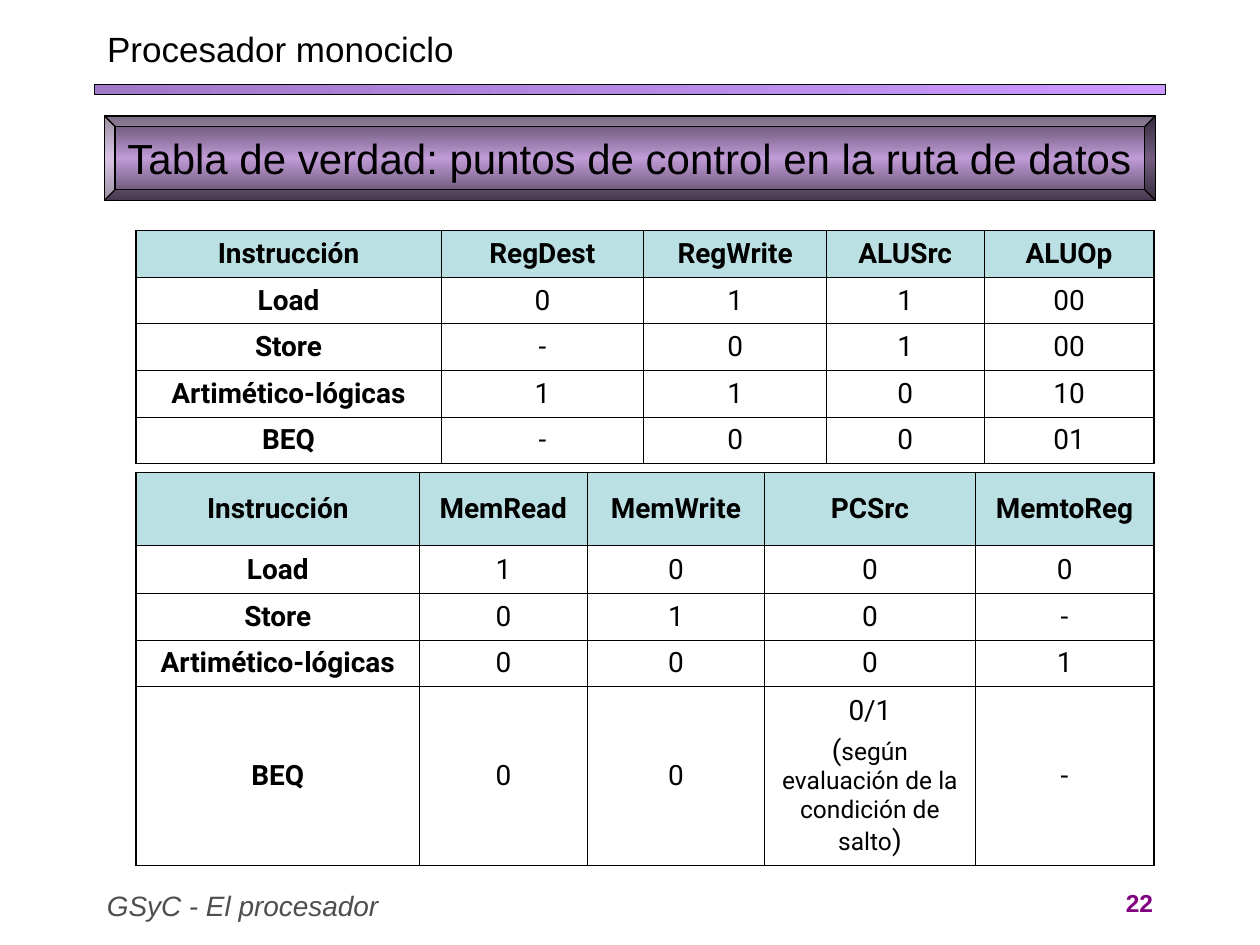
import pptx
import pptx.dml.color
import pptx.enum.shapes
import pptx.enum.text
import pptx.oxml
import pptx.oxml.ns
import pptx.util

Inches = pptx.util.Inches
Pt = pptx.util.Pt
Align = pptx.enum.text.PP_ALIGN
Anchor = pptx.enum.text.MSO_ANCHOR
Shape = pptx.enum.shapes.MSO_SHAPE
qn = pptx.oxml.ns.qn

HUES = {
    "ink": "000000",
    "head": "BBE0E3",
    "foot": "4E4E4E",
    "page": "800080",
    "lilac": "CC99FF",
    "violet": "A179C9",
    "plum": "594863",
    "mauve": "C09BD6",
}
THIN, THICK = 0.45, 1.08

SIGNALS = [
    ["Instrucción", "RegDest", "RegWrite", "ALUSrc", "ALUOp"],
    ["Load", "0", "1", "1", "00"],
    ["Store", "-", "0", "1", "00"],
    ["Artimético-lógicas", "1", "1", "0", "10"],
    ["BEQ", "-", "0", "0", "01"],
]
MEMORY = [
    ["Instrucción", "MemRead", "MemWrite", "PCSrc", "MemtoReg"],
    ["Load", "1", "0", "0", "0"],
    ["Store", "0", "1", "0", "-"],
    ["Artimético-lógicas", "0", "0", "0", "1"],
    ["BEQ", "0", "0", "0/1", "-"],
]


def color(name):
    """Return the named colour."""
    return pptx.dml.color.RGBColor.from_string(HUES[name])


def write(para, text, size=16, face="Arial", hue="ink", bold=False,
          italic=False, align=Align.LEFT):
    """Add a formatted run to a paragraph."""
    para.alignment = align
    run = para.add_run()
    run.text = text
    font = run.font
    font.size, font.name = Pt(size), face
    font.bold, font.italic = bold, italic
    font.color.rgb = color(hue)


def shade(shape, names, angle):
    """Fill a shape with evenly spaced gradient stops and outline it."""
    shape.shadow.inherit = False
    shape.fill.gradient()
    shape.fill.gradient_angle = angle
    stops = shape.element.spPr.find(qn("a:gradFill")).find(qn("a:gsLst"))
    for stop in list(stops):
        stops.remove(stop)
    for i, name in enumerate(names):
        pos = 100000 * i // (len(names) - 1)
        stops.append(pptx.oxml.parse_xml(
            f'<a:gs {pptx.oxml.ns.nsdecls("a")} pos="{pos}">'
            f'<a:srgbClr val="{HUES[name]}"/></a:gs>'))
    shape.line.color.rgb = color("ink")
    shape.line.width = Pt(0.75)


def border(cell, widths):
    """Draw the four cell borders, given as side and width in points."""
    props = cell._tc.get_or_add_tcPr()
    for side, width in widths.items():
        props.append(pptx.oxml.parse_xml(
            f'<a:ln{side} {pptx.oxml.ns.nsdecls("a")} w="{Pt(width)}">'
            f'<a:solidFill><a:srgbClr val="{HUES["ink"]}"/></a:solidFill>'
            f'</a:ln{side}>'))


def header(slide, left, top, width):
    """Place the title and the rule under it."""
    title = slide.shapes.title
    title.left, title.top = left, top
    title.width, title.height = width - Inches(0.25), Inches(0.44)
    frame = title.text_frame
    frame.auto_size = pptx.enum.text.MSO_AUTO_SIZE.NONE
    frame.vertical_anchor = Anchor.TOP
    write(frame.paragraphs[0], "Procesador monociclo", size=20)
    rule = slide.shapes.add_shape(
        Shape.RECTANGLE, left, top + Inches(0.5), width, Inches(0.08))
    shade(rule, ["lilac", "violet"], 180)


def banner(slide, left, top, width, height):
    """Place the bevelled heading."""
    bevel = slide.shapes.add_shape(Shape.BEVEL, left, top, width, height)
    bevel.adjustments[0] = 0.125
    shade(bevel, ["plum", "mauve", "plum"], 90)
    frame = bevel.text_frame
    frame.word_wrap = False
    frame.vertical_anchor = Anchor.MIDDLE
    write(frame.paragraphs[0],
          "Tabla de verdad: puntos de control en la ruta de datos", size=24)


def grid(slide, left, top, rows, cols, highs):
    """Place a truth table and return it."""
    table = slide.shapes.add_table(
        len(rows), len(cols), left, top,
        Inches(sum(cols)), Inches(sum(highs))).table
    table.first_row = table.horz_banding = False
    for col, width in zip(table.columns, cols):
        col.width = Inches(width)
    for r, row in enumerate(rows):
        table.rows[r].height = Inches(highs[r])
        for c, text in enumerate(row):
            cell = table.cell(r, c)
            cell.vertical_anchor = Anchor.MIDDLE
            border(cell, {
                "L": THICK if c == 0 else THIN,
                "R": THICK if c == len(cols) - 1 else THIN,
                "T": THICK if r == 0 else THIN,
                "B": THICK if r == len(rows) - 1 else THIN,
            })
            if r == 0:
                cell.fill.solid()
                cell.fill.fore_color.rgb = color("head")
            else:
                cell.fill.background()
            write(cell.text_frame.paragraphs[0], text, face="Roboto",
                  bold=r == 0 or c == 0, align=Align.CENTER)
    return table


def remark(cell):
    """Add the branch condition under the value of a cell."""
    para = cell.text_frame.add_paragraph()
    para.space_before = Pt(4)
    parts = [("(", 16), ("según evaluación de la condición de salto", 14),
             (")", 16)]
    for text, size in parts:
        write(para, text, size=size, face="Roboto", align=Align.CENTER)


def footer(slide, left, top, width, height):
    """Place the course name and the page number."""
    side = Inches(0.67)
    name = slide.shapes.add_textbox(left, top, width - side, height)
    page = slide.shapes.add_textbox(left + width - side, top, side, height)
    for box in (name, page):
        box.text_frame.word_wrap = True
    write(name.text_frame.paragraphs[0], "GSyC - El procesador",
          hue="foot", italic=True)
    write(page.text_frame.paragraphs[0], "22", size=14, hue="page",
          bold=True, align=Align.RIGHT)


def main():
    """Build and save the slide."""
    deck = pptx.Presentation()
    deck.slide_width, deck.slide_height = Inches(10), Inches(7.5)
    slide = deck.slides.add_slide(deck.slide_layouts[5])
    header(slide, Inches(0.75), Inches(0.17), Inches(8.5))
    banner(slide, Inches(0.83), Inches(0.92), Inches(8.34), Inches(0.67))
    grid(slide, Inches(1.08), Inches(1.83), SIGNALS,
         [2.42, 1.61, 1.45, 1.25, 1.35], [0.37] * 5)
    table = grid(slide, Inches(1.08), Inches(3.75), MEMORY,
                 [2.25, 1.33, 1.41, 1.67, 1.42],
                 [0.58, 0.38, 0.37, 0.37, 1.42])
    remark(table.cell(4, 3))
    footer(slide, Inches(0.75), Inches(7), Inches(8.5), Inches(0.33))
    deck.save("out.pptx")


if __name__ == "__main__":
    main()
